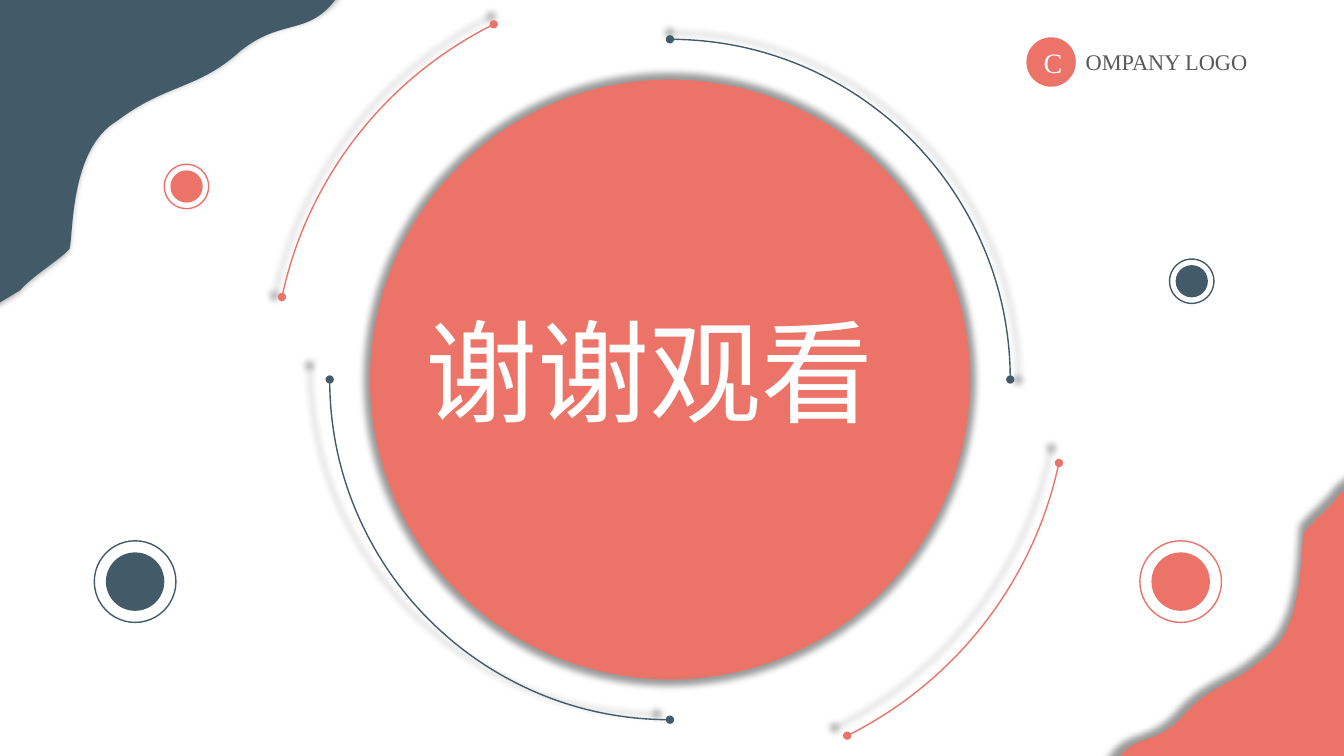
from dataclasses import dataclass
from lxml import etree
from pptx import Presentation
from pptx.dml.color import RGBColor
from pptx.enum.shapes import MSO_SHAPE
from pptx.enum.text import MSO_ANCHOR, MSO_AUTO_SIZE, PP_ALIGN
from pptx.oxml.ns import qn
from pptx.util import Inches, Pt

OVAL, ARC = MSO_SHAPE.OVAL, MSO_SHAPE.ARC
TOP, MIDDLE = MSO_ANCHOR.TOP, MSO_ANCHOR.MIDDLE
NO_AUTOFIT = MSO_AUTO_SIZE.NONE
CENTER, JUSTIFY = PP_ALIGN.CENTER, PP_ALIGN.JUSTIFY


@dataclass(frozen=True)
class Theme:
    coral: RGBColor = RGBColor(0xEC, 0x73, 0x68)
    slate: RGBColor = RGBColor(0x43, 0x5B, 0x68)
    white: RGBColor = RGBColor(0xFF, 0xFF, 0xFF)
    grey: RGBColor = RGBColor(0x59, 0x59, 0x59)
    font: str = "Times New Roman"
    title: int = 80
    initial: int = 20
    label: int = 16
    line: int = 1


THEME = Theme()
CORNER_SIZE = (3.73, 3.41)
CORNER_START = (0.45, 3.14)
CORNER_CURVES = [
    ((0.58, 2.99), (0.84, 2.84), (0.94, 2.73)),
    ((0.98, 2.59), (0.94, 1.74), (1.41, 1.46)),
    ((1.9, 1.09), (2.21, 1.15), (2.63, 0.77)),
    ((3.11, 0.38), (3.38, 0.7), (3.72, 0.02)),
]


def inches(box):
    return [Inches(value) for value in box]


def centred_box(x, y, size):
    return x - size / 2, y - size / 2, size, size


def paint(shape, fill=None, line=None):
    shape.shadow.inherit = False
    if fill is None:
        shape.fill.background()
    else:
        shape.fill.solid()
        shape.fill.fore_color.rgb = fill
    if line is None:
        shape.line.fill.background()
    else:
        shape.line.color.rgb = line
        shape.line.width = Pt(THEME.line)


def add_glow(shape):
    effects = shape._element.spPr.find(qn("a:effectLst"))
    glow = etree.SubElement(effects, qn("a:outerShdw"), blurRad=str(Pt(5)),
                            sx="102000", sy="102000", algn="ctr", rotWithShape="0")
    black = etree.SubElement(glow, qn("a:srgbClr"), val="000000")
    etree.SubElement(black, qn("a:alpha"), val="40000")


def flip(shape, axes):
    for axis in axes:
        shape._element.spPr.xfrm.set(f"flip{axis}", "1")


def write(shape, text, size, color, align, anchor):
    frame = shape.text_frame
    frame.text = text
    frame.word_wrap = True
    frame.auto_size = NO_AUTOFIT
    frame.vertical_anchor = anchor
    paragraph = frame.paragraphs[0]
    paragraph.alignment = align
    font = paragraph.runs[0].font
    font.name, font.size, font.color.rgb = THEME.font, Pt(size), color


def add_logo(slide, box):
    left, top, width, height = box
    logo = slide.shapes.add_group_shape().shapes
    badge = logo.add_shape(OVAL, *inches((left, top, height, height)))
    paint(badge, THEME.coral)
    write(badge, "C", THEME.initial, THEME.white, CENTER, MIDDLE)
    label = logo.add_textbox(*inches((left + height, top + 0.06, width - height, 0.37)))
    write(label, "OMPANY LOGO", THEME.label, THEME.grey, JUSTIFY, TOP)


def add_disc(slide, box):
    disc = slide.shapes.add_shape(OVAL, *inches(box))
    paint(disc, THEME.coral)
    add_glow(disc)


def add_orbit(slide, box, color, axes="", angles=(270, 0)):
    orbit = slide.shapes.add_shape(ARC, *inches(box))
    for index, angle in enumerate(angles):
        orbit.adjustments[index] = angle * 0.6
    paint(orbit, line=color)
    outline = orbit._element.spPr.find(qn("a:ln"))
    for end in ("a:headEnd", "a:tailEnd"):
        etree.SubElement(outline, qn(end), type="oval")
    flip(orbit, axes)
    add_glow(orbit)


def add_ringed_dot(slide, center, core_size, ring_size, color):
    dot = slide.shapes.add_group_shape().shapes
    core = dot.add_shape(OVAL, *inches(centred_box(*center, core_size)))
    paint(core, color)
    ring = dot.add_shape(OVAL, *inches(centred_box(*center, ring_size)))
    paint(ring, line=color)


def bend(segment, controls):
    segment.tag = qn("a:cubicBezTo")
    for index, (x, y) in enumerate(controls):
        control = etree.Element(qn("a:pt"), x=str(x), y=str(y))
        segment.insert(index, control)


def add_corner(slide, box, color, axes=""):
    left, top, width, height = box

    def scaled(point):
        x, y = point
        return Inches(x * width / CORNER_SIZE[0]), Inches(y * height / CORNER_SIZE[1])

    anchors = [(CORNER_SIZE[0], 0), (0, 0), (0, CORNER_SIZE[1]), CORNER_START]
    anchors += [curve[-1] for curve in CORNER_CURVES]
    start, *ends = [scaled(anchor) for anchor in anchors]
    builder = slide.shapes.build_freeform(*start)
    builder.add_line_segments(ends, close=True)
    corner = builder.convert_to_shape(Inches(left), Inches(top))
    segments = list(corner._element.iter(qn("a:lnTo")))[-len(CORNER_CURVES):]
    for segment, curve in zip(segments, CORNER_CURVES):
        bend(segment, [scaled(control) for control in curve[:2]])
    paint(corner, color)
    flip(corner, axes)
    add_glow(corner)


def add_title(slide, box):
    title = slide.shapes.title
    title.left, title.top, title.width, title.height = inches(box)
    write(title, "谢谢观看", THEME.title, THEME.white, JUSTIFY, TOP)
    title.text_frame.paragraphs[0].line_spacing = 1.0
    title.text_frame.paragraphs[0].space_before = Pt(0)
    slide.shapes._spTree.append(title._element)


def build_closing_slide(deck):
    slide = deck.slides.add_slide(deck.slide_layouts[5])
    add_logo(slide, (10.18, 0.37, 2.83, 0.49))
    add_disc(slide, (3.67, 0.79, 5.95, 5.95))
    for axes in ("", "HV"):
        add_orbit(slide, (3.27, 0.39, 6.75, 6.75), THEME.slate, axes)
    for axes in ("H", "V"):
        add_orbit(slide, (2.71, -0.17, 7.88, 7.88), THEME.coral, axes, (296.42, 347.94))
    for center, core_size, ring_size, color in (
        ((11.71, 5.77), 0.58, 0.81, THEME.coral),
        ((1.34, 5.77), 0.58, 0.81, THEME.slate),
        ((1.85, 1.85), 0.32, 0.44, THEME.coral),
        ((11.82, 2.79), 0.32, 0.44, THEME.slate),
    ):
        add_ringed_dot(slide, center, core_size, ring_size, color)
    add_corner(slide, (10.94, 4.66, 2.66, 3.17), THEME.coral, "HV")
    add_corner(slide, (-0.25, -0.26, 3.73, 3.41), THEME.slate)
    add_title(slide, (4.12, 2.95, 5.05, 1.45))


def main():
    deck = Presentation()
    deck.slide_width, deck.slide_height = Inches(13.33), Inches(7.5)
    build_closing_slide(deck)
    deck.save("out.pptx")


if __name__ == "__main__":
    main()
